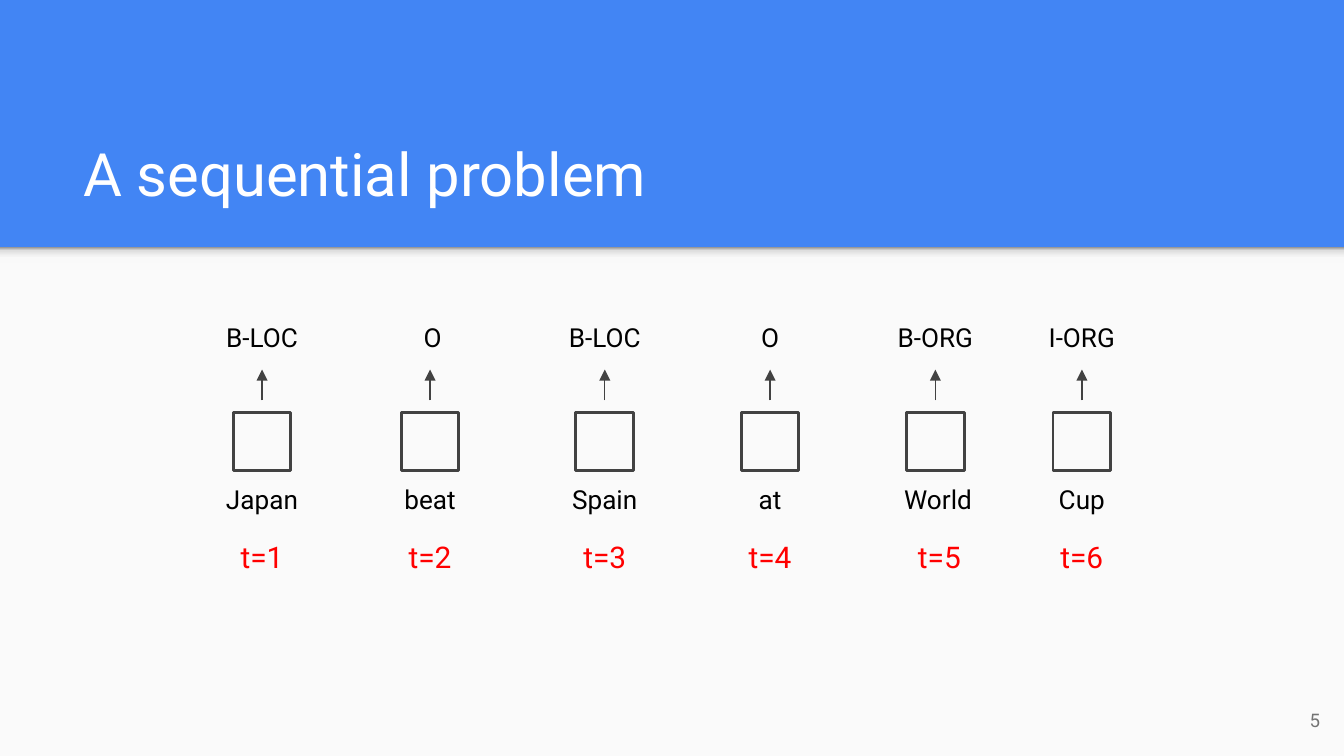
from copy import deepcopy
from pptx import Presentation
from pptx import util as u
from pptx.dml.color import RGBColor
from pptx.enum import shapes, text
from pptx.oxml.ns import qn
from lxml import etree

WIDE = 10
HIGH = WIDE * 9 / 16
FONT = "Roboto"
BLUE, PALE, WHITE, BLACK = "4285F4", "FAFAFA", "FFFFFF", "000000"
GREY, DARK, RED = "737373", "424242", "FF0000"

TITLE = "A sequential problem"
PAGE = "5"
# word, tag, column centre, then shifts of tag, word and step
STEPS = [
    ("Japan", "B-LOC", 1.95, 0, 0, 0),
    ("beat", "O", 3.2, 0.02, 0, 0),
    ("Spain", "B-LOC", 4.5, 0, 0, 0),
    ("at", "O", 5.73, 0, 0, 0),
    ("World", "B-ORG", 6.96, 0, 0.02, 0.03),
    ("Cup", "I-ORG", 8.05, 0, 0, 0),
]
SHADE = [(0, "F9F9F9"), (0.36, "F9F9F9"), (0.8, "DEDEDE"), (1, "999999")]

BAND = 1.84            # height of the title band
BOX = 0.43             # side of a cell
TAG_Y, CELL_Y, WORD_Y, STEP_Y = 2.29, 3.07, 3.5, 3.91
ARROW = (2.98, 2.75)   # from, to

ALIGN, ANCHOR = text.PP_ALIGN, text.MSO_ANCHOR


def ink(code):
    return RGBColor.from_string(code)


def inch(*nums):
    return [u.Inches(n) for n in nums]


def rect(x, y, w, h):
    box = slide.shapes.add_shape(shapes.MSO_SHAPE.RECTANGLE, *inch(x, y, w, h))
    box.shadow.inherit = False
    box.fill.background()
    box.line.fill.background()
    return box


def label(words, x, y, w, h, size, tint, align=ALIGN.CENTER, anchor=ANCHOR.TOP):
    frame = slide.shapes.add_textbox(*inch(x, y, w, h)).text_frame
    frame.word_wrap = True
    frame.vertical_anchor = anchor
    frame.margin_left = frame.margin_right = u.Inches(0.1)
    frame.margin_top = frame.margin_bottom = u.Inches(0.1)
    para = frame.paragraphs[0]
    para.alignment = align
    run = para.add_run()
    run.text = words
    run.font.name = FONT
    run.font.size = u.Pt(size)
    run.font.color.rgb = ink(tint)


def arrow(x, start, end):
    line = slide.shapes.add_connector(
        shapes.MSO_CONNECTOR.STRAIGHT, *inch(x, start, x, end))
    line.line.color.rgb = ink(DARK)
    line.line.width = u.Pt(0.75)
    props = line.element.spPr
    etree.SubElement(props.find(qn("a:ln")), qn("a:tailEnd"), type="triangle")
    etree.SubElement(props, qn("a:effectLst"))


def shade(box, stops):
    """Fill the box with a gradient that runs from bottom to top."""
    box.fill.gradient()
    box.fill.gradient_angle = 90
    group = next(box.element.spPr.iter(qn("a:gsLst")))
    while len(group) < len(stops):
        group.append(deepcopy(group[0]))
    for stop, (place, tint) in zip(box.fill.gradient_stops, stops):
        stop.position = place
        stop.color.rgb = ink(tint)


deck = Presentation()
deck.slide_width, deck.slide_height = inch(WIDE, HIGH)
slide = deck.slides.add_slide(deck.slide_layouts[6])
back = slide.background.fill
back.solid()
back.fore_color.rgb = ink(BLUE)

body = rect(0, BAND, WIDE, HIGH - BAND)
body.fill.solid()
body.fill.fore_color.rgb = ink(PALE)
shade(rect(0, BAND, WIDE, 0.12), SHADE)

label(TITLE, 0.52, 0.81, 8.99, 0.84, 32, WHITE, ALIGN.LEFT, ANCHOR.BOTTOM)
label(PAGE, 9.32, 5.14, 0.6, 0.43, 10, GREY, ALIGN.RIGHT, ANCHOR.MIDDLE)

for num, (word, tag, mid, *shifts) in enumerate(STEPS, 1):
    cell = rect(mid - BOX / 2, CELL_Y, BOX, BOX)
    cell.line.color.rgb = ink(DARK)
    cell.line.width = u.Pt(1.5)
    arrow(mid, *ARROW)
    rows = [
        (tag, TAG_Y, 0.83, 0.44, 14, BLACK),
        (word, WORD_Y, 0.83, 0.44, 14, BLACK),
        (f"t={num}", STEP_Y, 0.64, 0.47, 16, RED),
    ]
    for shift, (words, y, w, h, size, tint) in zip(shifts, rows):
        label(words, mid + shift - w / 2, y, w, h, size, tint)

deck.save("out.pptx")
